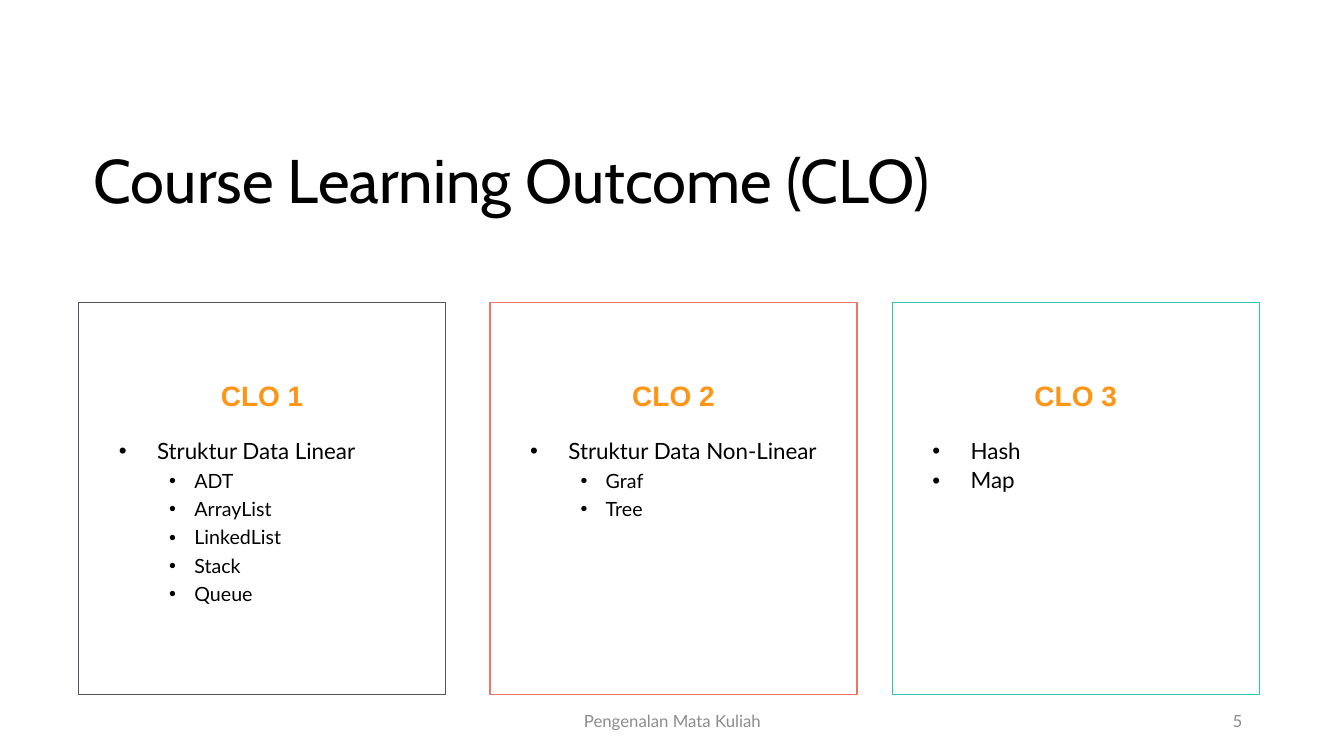
from lxml import etree
from pptx import Presentation
from pptx.dml.color import RGBColor
from pptx.enum.shapes import MSO_SHAPE as Shape
from pptx.enum.text import MSO_ANCHOR as Anchor, PP_ALIGN as Align
from pptx.oxml.ns import qn
from pptx.util import Inches, Pt

BLACK, GREY, ORANGE = "000000", "8C8C8C", "FF9514"
CARD_TOP, CARD_WIDTH, CARD_HEIGHT = 3, 3.64, 3.89
# Left edge, outline colour, heading, topics as (level, text)
OUTCOMES = [
    (0.78, "5B5260", "CLO 1", [
        (0, "Struktur Data Linear"), (1, "ADT"), (1, "ArrayList"),
        (1, "LinkedList"), (1, "Stack"), (1, "Queue")]),
    (4.86, "EE7661", "CLO 2", [
        (0, "Struktur Data Non-Linear"), (1, "Graf"), (1, "Tree")]),
    (8.85, "2CC3B4", "CLO 3", [(0, "Hash"), (0, "Map")]),
]
# Text size, left margin, hanging indent, space before for each level
LEVELS = [(16, 0.38, -0.38, 3.6), (14, 0.75, -0.25, 5)]


def colour(code):
    return RGBColor.from_string(code)


class SlideBuilder:
    """Holds the fonts and the slide being filled."""

    title_font, heading_font, body_font = "Cabin", "Arial", "Lato"

    def __init__(self, deck):
        self.slide = deck.slides.add_slide(deck.slide_layouts[5])

    def add_span(self, para, text, size, font, code, bold=False):
        span = para.add_run()
        span.text = text
        span.font.size = Pt(size)
        span.font.name = font
        span.font.bold = bold
        span.font.color.rgb = colour(code)

    def title(self, text, left, top, width, height):
        box = self.slide.shapes.title
        box.left, box.top = Inches(left), Inches(top)
        box.width, box.height = Inches(width), Inches(height)
        frame = box.text_frame
        frame.word_wrap = True
        frame.vertical_anchor = Anchor.MIDDLE
        para = frame.paragraphs[0]
        para.alignment = Align.LEFT
        self.add_span(para, text, 44, self.title_font, BLACK)

    def text_frame(self, left, top, width, height):
        box = self.slide.shapes.add_textbox(
            Inches(left), Inches(top), Inches(width), Inches(height))
        box.text_frame.word_wrap = True
        return box.text_frame

    def footer(self, text, left, width, align):
        frame = self.text_frame(left, 6.95, width, 0.4)
        frame.vertical_anchor = Anchor.MIDDLE
        para = frame.paragraphs[0]
        para.alignment = align
        self.add_span(para, text, 12, self.body_font, GREY)

    def card(self, left, outline, heading):
        card = self.slide.shapes.add_shape(
            Shape.RECTANGLE, Inches(left), Inches(CARD_TOP),
            Inches(CARD_WIDTH), Inches(CARD_HEIGHT))
        card.shadow.inherit = False
        card.fill.background()
        card.line.color.rgb = colour(outline)
        card.line.width = Pt(1)
        frame = card.text_frame
        frame.word_wrap = True
        frame.vertical_anchor = Anchor.TOP
        frame.margin_top = Inches(0.75)
        para = frame.paragraphs[0]
        para.alignment = Align.CENTER
        self.add_span(para, heading, 20, self.heading_font, ORANGE, bold=True)

    def topics(self, left, topics):
        frame = self.text_frame(left, 4.32, 3.1, 2.41)
        for index, (level, text) in enumerate(topics):
            size, margin, indent, space = LEVELS[level]
            para = frame.add_paragraph() if index else frame.paragraphs[0]
            self.bullet(para, margin, indent)
            para.level = level
            para.line_spacing = 0.9
            para.space_before = Pt(space if index else 0)
            self.add_span(para, text, size, self.body_font, BLACK)

    def bullet(self, para, margin, indent):
        props = para._p.get_or_add_pPr()
        props.set("marL", str(Inches(margin)))
        props.set("indent", str(Inches(indent)))
        etree.SubElement(props, qn("a:buFont")).set("typeface", "Arial")
        etree.SubElement(props, qn("a:buChar")).set("char", "•")


def main():
    deck = Presentation()
    deck.slide_width, deck.slide_height = Inches(13.33), Inches(7.5)
    page = SlideBuilder(deck)
    page.title("Course Learning Outcome (CLO)", 0.83, 1.35, 11.67, 0.84)
    for left, outline, heading, topics in OUTCOMES:
        page.card(left, outline, heading)
        page.topics(left + 0.3, topics)
    page.footer("Pengenalan Mata Kuliah", 4.42, 4.5, Align.CENTER)
    page.footer("5", 9.42, 3, Align.RIGHT)
    deck.save("out.pptx")


if __name__ == "__main__":
    main()
